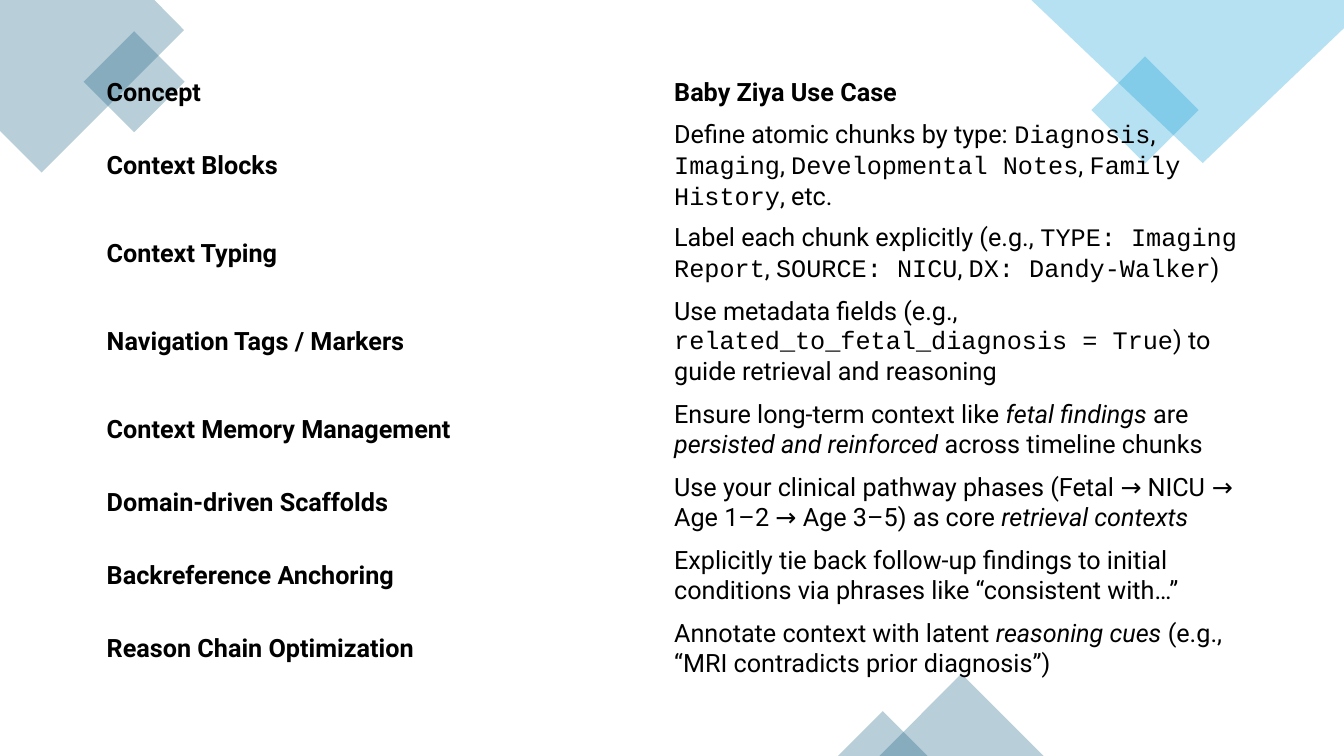
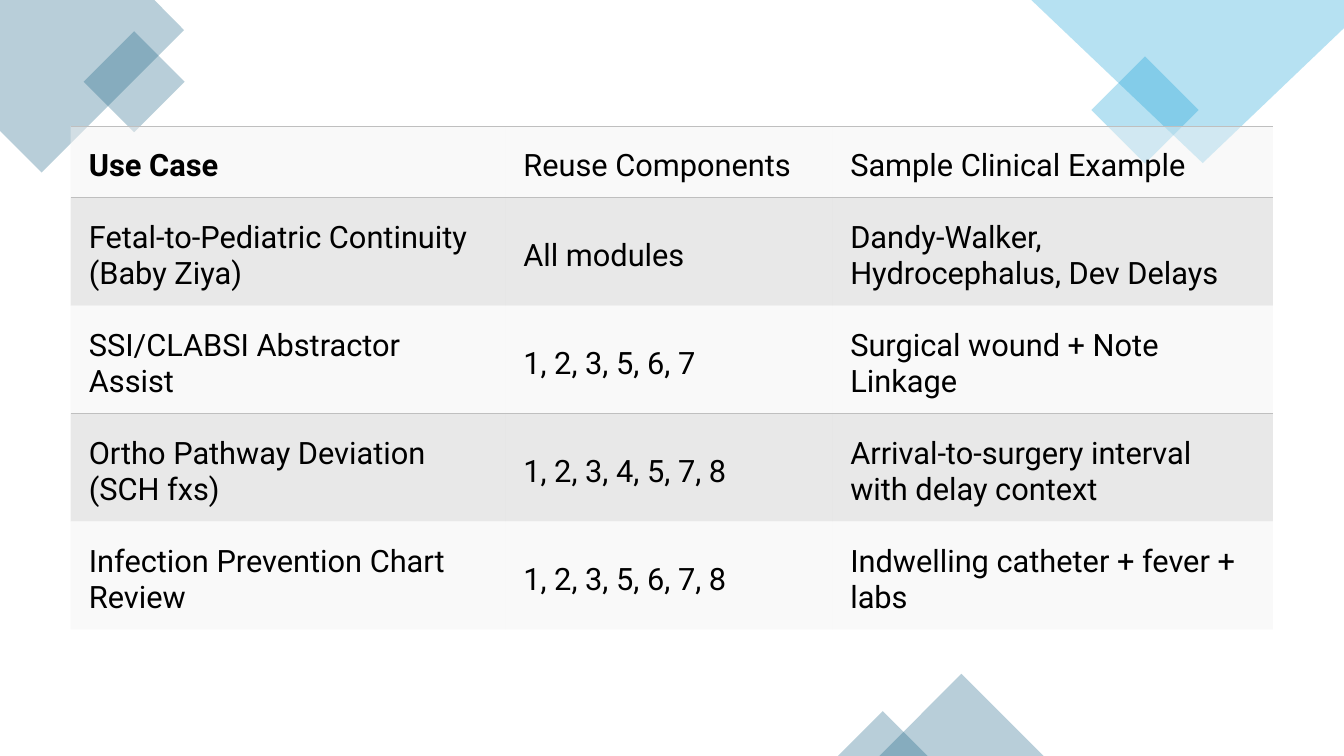
from dataclasses import dataclass
from typing import NamedTuple

from lxml.etree import SubElement
from pptx import Presentation
from pptx.dml.color import RGBColor
from pptx.enum.shapes import MSO_SHAPE
from pptx.enum.text import MSO_ANCHOR
from pptx.oxml.ns import qn
from pptx.util import Cm, Pt


@dataclass(frozen=True)
class Theme:
    teal: str = "156082"
    sky: str = "0F9ED5"
    text: str = "000000"
    light: str = "F2F2F2"
    grey: str = "BFBFBF"
    font: str = "Roboto"
    code_font: str = "Courier New"
    concept_size: int = 18
    reuse_size: int = 22
    decor_alpha: int = 30
    light_alpha: int = 45
    grey_alpha: int = 35


class Preset(NamedTuple):
    kind: MSO_SHAPE
    left: float
    top: float
    width: float
    height: float
    rotation: int
    color: str


class Outline(NamedTuple):
    points: list[tuple[float, float]]
    color: str


class Span(NamedTuple):
    text: str
    bold: bool = False
    italic: bool = False
    font: str = Theme.font


class TableLook(NamedTuple):
    left: float
    top: float
    cols: list[float]
    rows: list[float]
    insets: tuple[float, float, float, float]  # left, top, right, bottom
    size: int


THEME = Theme()
NO_STYLE_NO_GRID = "{2D5ABB26-0587-4C30-8999-92F81FD0307C}"

PRESETS = [
    Preset(MSO_SHAPE.RECTANGLE, 2.48, 1.16, 1.8, 1.8, 45, THEME.teal),
    Preset(MSO_SHAPE.RECTANGLE, 27.9, 1.82, 1.91, 1.91, 45, THEME.sky),
    Preset(MSO_SHAPE.ISOSCELES_TRIANGLE, 22.16, 16.98, 4.14, 2.07, 0, THEME.teal),
    Preset(MSO_SHAPE.ISOSCELES_TRIANGLE, 21.12, 17.92, 2.26, 1.13, 0, THEME.teal),
]
OUTLINES = [
    Outline([(3.89, 0), (0, 0), (0, 3.3), (1.05, 4.35), (4.64, 0.76)], THEME.teal),
    Outline([(33.87, 0), (25.99, 0), (30.31, 4.11), (33.87, 0.71)], THEME.sky),
]

CONCEPT_LOOK = TableLook(2.44, 1.79, [14.3, 14.73],
                         [1.1, 2.59, 1.84, 2.58] + [1.84] * 4,
                         (0.25, 0.13, 0.25, 0.13), THEME.concept_size)
REUSE_LOOK = TableLook(1.78, 3.18, [10.95, 8.24, 11.11], [1.8] + [2.72] * 4,
                       (0.46, 0.46, 0.46, 0.23), THEME.reuse_size)


def bold(text: str) -> Span:
    return Span(text, bold=True)


def em(text: str) -> Span:
    return Span(text, italic=True)


def code(text: str) -> Span:
    return Span(text, font=THEME.code_font)


CONCEPTS = [
    ("Concept", [bold("Baby Ziya Use Case")]),
    ("Context Blocks", [
        Span("Define atomic chunks by type: "), code("Diagnosis"), Span(", "),
        code("Imaging"), Span(", "), code("Developmental Notes"), Span(", "),
        code("Family History"), Span(", etc.")]),
    ("Context Typing", [
        Span("Label each chunk explicitly (e.g., "), code("TYPE: Imaging Report"),
        Span(", "), code("SOURCE: NICU"), Span(", "), code("DX: Dandy-Walker"),
        Span(")")]),
    ("Navigation Tags / Markers", [
        Span("Use metadata fields (e.g., "),
        code("related_to_fetal_diagnosis = True"),
        Span(") to guide retrieval and reasoning")]),
    ("Context Memory Management", [
        Span("Ensure long-term context like "), em("fetal findings"),
        Span(" are "), em("persisted and reinforced"),
        Span(" across timeline chunks")]),
    ("Domain-driven Scaffolds", [
        Span("Use your clinical pathway phases (Fetal → NICU → Age 1–2 → Age 3–5) as core "),
        em("retrieval contexts")]),
    ("Backreference Anchoring", [
        Span("Explicitly tie back follow-up findings to initial conditions "
             "via phrases like “consistent with…”")]),
    ("Reason Chain Optimization", [
        Span("Annotate context with latent "), em("reasoning cues"),
        Span(" (e.g., “MRI contradicts prior diagnosis”)")]),
]

REUSE_HEADER = [[bold("Use Case")], [Span("Reuse Components")],
                [Span("Sample Clinical Example")]]
REUSE_CASES = [
    ("Fetal-to-Pediatric Continuity (Baby Ziya)", "All modules",
     "Dandy-Walker, Hydrocephalus, Dev Delays"),
    ("SSI/CLABSI Abstractor Assist", "1, 2, 3, 5, 6, 7",
     "Surgical wound + Note Linkage"),
    ("Ortho Pathway Deviation (SCH fxs)", "1, 2, 3, 4, 5, 7, 8",
     "Arrival-to-surgery interval with delay context"),
    ("Infection Prevention Chart Review", "1, 2, 3, 5, 6, 7, 8",
     "Indwelling catheter + fever + labs"),
]


def set_fill(fill, props, color: str, alpha: int) -> None:
    """Fill with a colour at alpha percent opacity; props is the XML parent."""
    fill.solid()
    fill.fore_color.rgb = RGBColor.from_string(color)
    clr = props.find(qn("a:solidFill")).find(qn("a:srgbClr"))
    SubElement(clr, qn("a:alpha"), val=str(alpha * 1000))


def add_border(cell, side: str, color: str, width: float = 1) -> None:
    """Draw one cell edge; call before the cell is filled, in T, B order."""
    ln = SubElement(cell._tc.get_or_add_tcPr(), qn(f"a:ln{side}"), w=str(Pt(width)))
    SubElement(SubElement(ln, qn("a:solidFill")), qn("a:srgbClr"), val=color)


def add_text(p, text: str, *, size: int, font: str = THEME.font,
             bold: bool = False, italic: bool = False,
             color: str = THEME.text) -> None:
    r = p.add_run()
    r.text = text
    r.font.size = Pt(size)
    r.font.name = font
    r.font.bold = bold
    r.font.italic = italic
    r.font.color.rgb = RGBColor.from_string(color)


def finish_decor(sp, color: str) -> None:
    sp.shadow.inherit = False
    sp.line.fill.background()
    set_fill(sp.fill, sp._element.spPr, color, THEME.decor_alpha)


def add_decor(slide) -> None:
    for outline in OUTLINES:
        start, *rest = [(Cm(x), Cm(y)) for x, y in outline.points]
        builder = slide.shapes.build_freeform(*start)
        builder.add_line_segments(rest, close=True)
        finish_decor(builder.convert_to_shape(), outline.color)
    for preset in PRESETS:
        sp = slide.shapes.add_shape(preset.kind, Cm(preset.left), Cm(preset.top),
                                    Cm(preset.width), Cm(preset.height))
        sp.rotation = preset.rotation
        finish_decor(sp, preset.color)


def add_text_table(slide, look: TableLook, rows: list[list[list[Span]]]):
    """Add an unstyled table whose cells are lists of spans."""
    table = slide.shapes.add_table(
        len(look.rows), len(look.cols), Cm(look.left), Cm(look.top),
        Cm(sum(look.cols)), Cm(sum(look.rows))).table
    table.first_row = table.horz_banding = False
    table._tbl.tblPr.find(qn("a:tableStyleId")).text = NO_STYLE_NO_GRID
    for col, width in zip(table.columns, look.cols):
        col.width = Cm(width)
    for row, height, content in zip(table.rows, look.rows, rows):
        row.height = Cm(height)
        for cell, spans in zip(row.cells, content):
            (cell.margin_left, cell.margin_top, cell.margin_right,
             cell.margin_bottom) = map(Cm, look.insets)
            cell.vertical_anchor = MSO_ANCHOR.MIDDLE
            for span in spans:
                add_text(cell.text_frame.paragraphs[0], size=look.size,
                         **span._asdict())
    return table


def add_slide(prs):
    slide = prs.slides.add_slide(prs.slide_layouts[6])
    add_decor(slide)
    return slide


def build_concepts(prs) -> None:
    rows = [[[bold(concept)], use] for concept, use in CONCEPTS]
    add_text_table(add_slide(prs), CONCEPT_LOOK, rows)


def build_reuse(prs) -> None:
    rows = [REUSE_HEADER] + [[[Span(t)] for t in case] for case in REUSE_CASES]
    table = add_text_table(add_slide(prs), REUSE_LOOK, rows)
    edges = {0: "TB", 2: "B"}
    bands = [(THEME.light, THEME.light_alpha), (THEME.grey, THEME.grey_alpha)]
    for i, row in enumerate(table.rows):
        for cell in row.cells:
            for side in edges.get(i, ""):
                add_border(cell, side, THEME.grey)
            set_fill(cell.fill, cell._tc.get_or_add_tcPr(), *bands[i % 2])


def main() -> None:
    prs = Presentation()
    prs.slide_width, prs.slide_height = Cm(33.87), Cm(19.05)
    build_concepts(prs)
    build_reuse(prs)
    prs.save("out.pptx")


if __name__ == "__main__":
    main()
